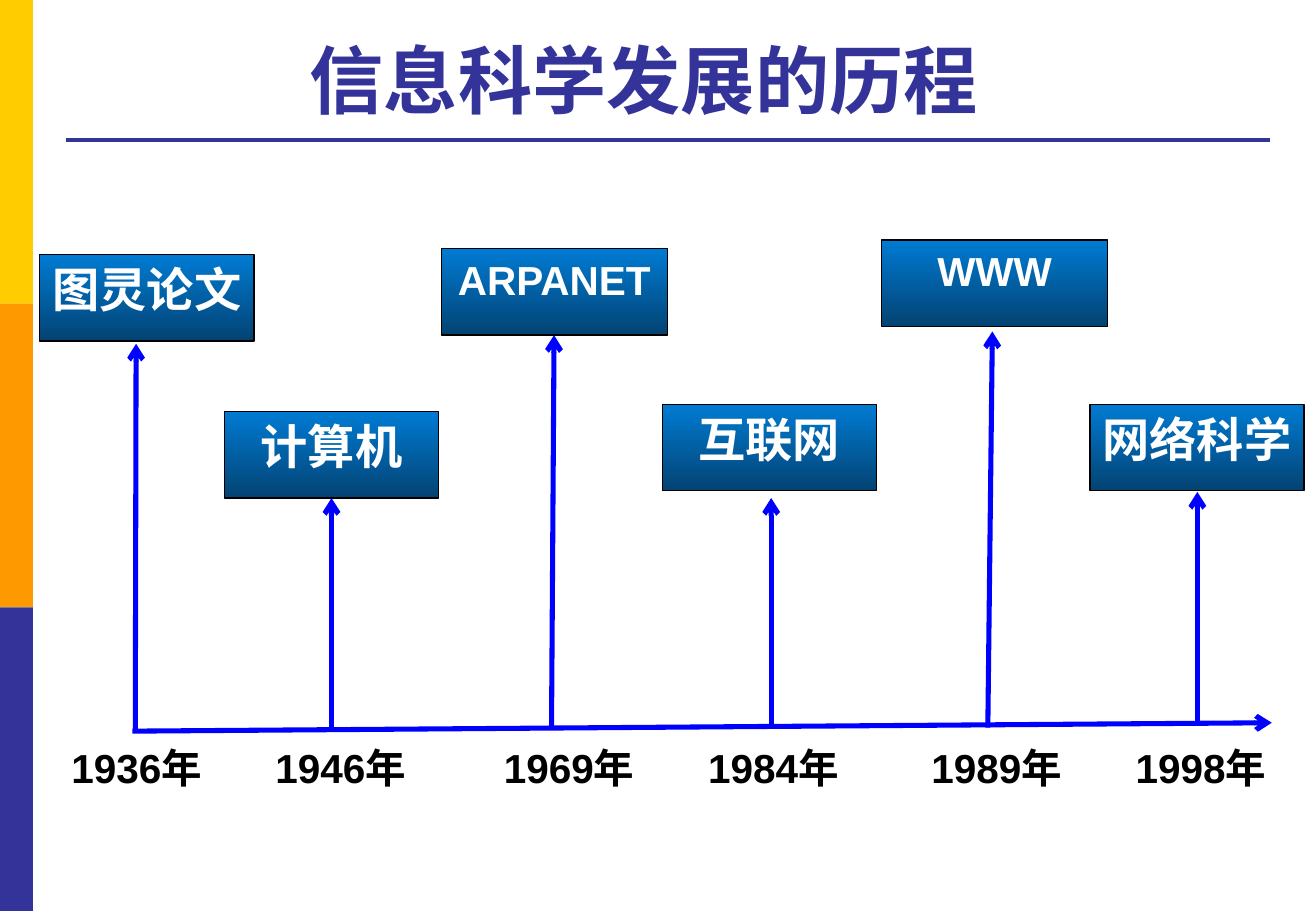
"""Build a timeline slide on the history of information science."""
from dataclasses import dataclass

from lxml import etree
from pptx import Presentation
from pptx import slide as sl
from pptx import util as u
from pptx.dml import color
from pptx.enum import shapes, text
from pptx.oxml import ns
from pptx.text import text as tx

YELLOW = color.RGBColor(0xFF, 0xCC, 0x00)
ORANGE = color.RGBColor(0xFF, 0x99, 0x00)
INDIGO = color.RGBColor(0x33, 0x33, 0x99)
BLUE = color.RGBColor(0x00, 0x00, 0xFF)
BOX_TOP = color.RGBColor(0x00, 0x7B, 0xD3)
BOX_BOTTOM = color.RGBColor(0x03, 0x43, 0x73)
BLACK = color.RGBColor(0, 0, 0)
WHITE = color.RGBColor(0xFF, 0xFF, 0xFF)

FONT = "Arial"
BAND_WIDTH, BAND_HEIGHT = 19.5, 180
BOX_HEIGHT = 51.2
YEAR_TOP, YEAR_WIDTH, YEAR_HEIGHT = 437.2, 98.6, 36


@dataclass(frozen=True)
class Line:
    """A straight line between two points."""
    x1: float
    y1: float
    x2: float
    y2: float
    colour: color.RGBColor = BLUE
    weight: float = 3
    arrow: bool = True


@dataclass(frozen=True)
class Milestone:
    """A dated event with its box and its arrow."""
    year: str
    event: str
    year_left: float
    box_left: float
    box_top: float
    box_width: float
    size: float
    stem: Line


TITLE_RULE = Line(39, 83, 753, 83, INDIGO, 2.25, False)
TIME_AXIS = Line(78.5, 433.4, 753.8, 428.4)
MILESTONES = [
    Milestone("1936年", "图灵论文", 35.3, 23.6, 151, 126.9, 28, Line(80.2, 432.7, 80.7, 203.8)),
    Milestone("1946年", "计算机", 156.2, 133, 244, 126.9, 28, Line(196.5, 431.3, 196.5, 295.2)),
    Milestone("1969年", "ARPANET", 291.6, 261.5, 147.4, 134, 24, Line(326.9, 431.3, 328.4, 198.7)),
    Milestone("1984年", "互联网", 412.6, 392.5, 239.8, 126.9, 28, Line(457.1, 431.3, 457.1, 295.2)),
    Milestone("1989年", "WWW", 545, 522.5, 142.3, 134, 24, Line(585.5, 431.3, 588.2, 196.5)),
    Milestone("1998年", "网络科学", 666, 646, 239.8, 126.9, 28, Line(709.7, 427.7, 709.7, 291.6)),
]


def write(frame: tx.TextFrame, words: str, size: float, colour: color.RGBColor,
          align: text.PP_ALIGN, wrap: bool = False) -> None:
    """Fill a text frame with one bold paragraph."""
    frame.text = words
    frame.word_wrap = wrap
    paragraph = frame.paragraphs[0]
    paragraph.alignment = align
    font = paragraph.runs[0].font
    font.name, font.size, font.bold = FONT, u.Pt(size), True
    font.color.rgb = colour


def add_band(slide: sl.Slide, index: int, colour: color.RGBColor) -> None:
    """Draw one block of the side stripe."""
    band = slide.shapes.add_shape(
        shapes.MSO_SHAPE.RECTANGLE, 0, u.Pt(index * BAND_HEIGHT),
        u.Pt(BAND_WIDTH), u.Pt(BAND_HEIGHT))
    band.shadow.inherit = False
    band.fill.solid()
    band.fill.fore_color.rgb = colour
    band.line.fill.background()


def add_line(slide: sl.Slide, line: Line) -> None:
    """Draw a line, with an arrowhead if it has one."""
    connector = slide.shapes.add_connector(
        shapes.MSO_CONNECTOR.STRAIGHT, u.Pt(line.x1), u.Pt(line.y1),
        u.Pt(line.x2), u.Pt(line.y2))
    connector.line.color.rgb = line.colour
    connector.line.width = u.Pt(line.weight)
    if line.arrow:
        outline = connector.line._get_or_add_ln()
        etree.SubElement(outline, ns.qn("a:tailEnd"), type="arrow")
    etree.SubElement(connector._element.spPr, ns.qn("a:effectLst"))


def add_milestone(slide: sl.Slide, milestone: Milestone) -> None:
    """Draw the year, event box and arrow of a milestone."""
    year = slide.shapes.add_textbox(
        u.Pt(milestone.year_left), u.Pt(YEAR_TOP), u.Pt(YEAR_WIDTH), u.Pt(YEAR_HEIGHT))
    write(year.text_frame, milestone.year, 24, BLACK, text.PP_ALIGN.LEFT)

    box = slide.shapes.add_shape(
        shapes.MSO_SHAPE.RECTANGLE, u.Pt(milestone.box_left), u.Pt(milestone.box_top),
        u.Pt(milestone.box_width), u.Pt(BOX_HEIGHT))
    box.shadow.inherit = False
    box.fill.gradient()
    box.fill.gradient_angle = 270
    for stop, position, colour in zip(box.fill.gradient_stops, (0, 1), (BOX_TOP, BOX_BOTTOM)):
        stop.position = position
        stop.color.rgb = colour
    box.line.color.rgb = BLACK
    box.line.width = u.Pt(0.75)
    box.text_frame.vertical_anchor = text.MSO_ANCHOR.TOP
    write(box.text_frame, milestone.event, milestone.size, WHITE, text.PP_ALIGN.CENTER)

    add_line(slide, milestone.stem)


def add_title(slide: sl.Slide, words: str) -> None:
    """Place and format the slide title."""
    title = slide.shapes.title
    title.left, title.top = u.Pt(176.4), u.Pt(-5.8)
    title.width, title.height = u.Pt(566.6), u.Pt(82.8)
    title.text_frame.auto_size = text.MSO_AUTO_SIZE.NONE
    title.text_frame.vertical_anchor = text.MSO_ANCHOR.BOTTOM
    write(title.text_frame, words, 44, INDIGO, text.PP_ALIGN.LEFT, wrap=True)


def main() -> None:
    """Build and save the slide."""
    deck = Presentation()
    deck.slide_width, deck.slide_height = u.Pt(780), u.Pt(540)
    slide = deck.slides.add_slide(deck.slide_layouts[5])
    for index, colour in enumerate((YELLOW, ORANGE, INDIGO)):
        add_band(slide, index, colour)
    add_title(slide, "信息科学发展的历程")
    add_line(slide, TITLE_RULE)
    add_line(slide, TIME_AXIS)
    for milestone in MILESTONES:
        add_milestone(slide, milestone)
    deck.save("out.pptx")


if __name__ == "__main__":
    main()
